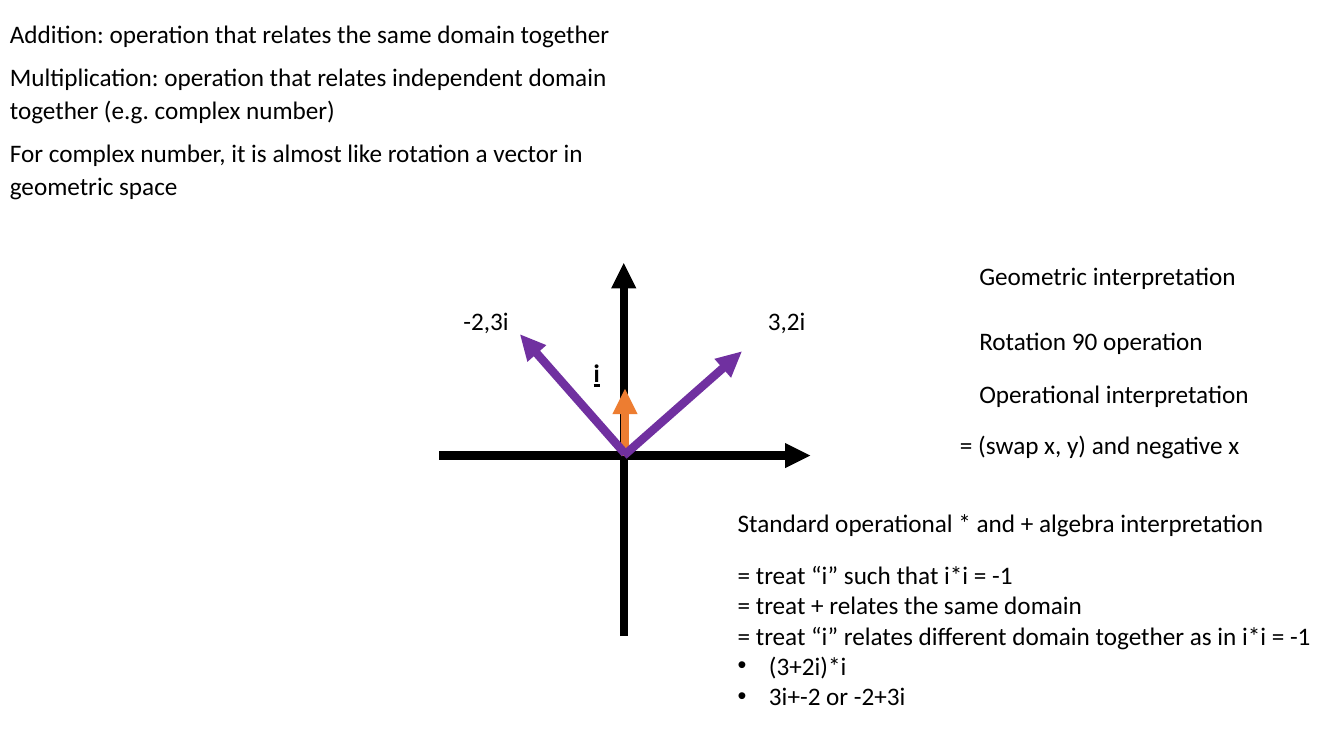
from lxml.etree import SubElement
from pptx import Presentation
from pptx.dml.color import RGBColor as Rgb
from pptx.enum.shapes import MSO_CONNECTOR as Connector
from pptx.enum.text import MSO_AUTO_SIZE as AutoSize
from pptx.oxml.ns import qn
from pptx.util import Cm, Pt

COLORS = {"text": "000000", "axis": "000000", "unit": "ED7D31", "vector": "7030A0"}
BODY_FONT = {"name": "Calibri", "size": Pt(18)}
UNIT_FONT = {**BODY_FONT, "bold": True, "underline": True}
DEFINITION_SPACING = {"line_spacing": 1.07, "space_after": Pt(8)}
LINE_HEIGHT = 1.02
NOTES_LEFT = 24.43
ALGEBRA_LEFT = 18.34

DEFINITIONS = [
    "Addition: operation that relates the same domain together",
    "Multiplication: operation that relates independent domain together (e.g. complex number)",
    "For complex number, it is almost like rotation a vector in geometric space",
]
RULES = [
    "= treat “i” such that i*i = -1",
    "= treat + relates the same domain",
    "= treat “i” relates different domain together as in i*i = -1",
]
WORKED_STEPS = ["(3+2i)*i", "3i+-2 or -2+3i"]

ARROWS = [
    ("axis", (11.07, 11.48), (20.42, 11.48)),
    ("axis", (15.72, 16.03), (15.72, 6.63)),
    ("unit", (15.75, 11.48), (15.75, 9.8)),
    ("vector", (15.72, 11.48), (18.69, 8.86)),
    ("vector", (15.75, 11.43), (13.11, 8.43)),
]
LABELS = [
    ("3,2i", 19.1, 7.57, 1.47),
    ("-2,3i", 11.43, 7.57, 1.68),
    ("Geometric interpretation", NOTES_LEFT, 6.43, 7.06),
    ("Rotation 90 operation", NOTES_LEFT, 8.08, 6.22),
    ("Operational interpretation", NOTES_LEFT, 9.42, 7.39),
    (" = (swap x, y) and negative x", 23.8, 10.69, 7.8),
    ("Standard operational * and + algebra interpretation", ALGEBRA_LEFT, 12.65, 13.94),
]


def apply_format(target, values):
    """Set each named attribute of the target."""
    for name, value in values.items():
        setattr(target, name, value)


def add_text(slide, lines, left, top, width, height=LINE_HEIGHT,
             wrap=False, font=BODY_FONT, spacing=None):
    """Add a text box with one paragraph per line and return its paragraphs."""
    frame = slide.shapes.add_textbox(Cm(left), Cm(top), Cm(width), Cm(height)).text_frame
    apply_format(frame, {"word_wrap": wrap, "auto_size": AutoSize.SHAPE_TO_FIT_TEXT})
    frame.text = "\n".join(lines)
    for paragraph in frame.paragraphs:
        apply_format(paragraph, spacing or {})
        for run in paragraph.runs:
            apply_format(run.font, font)
            run.font.color.rgb = Rgb.from_string(COLORS["text"])
    return frame.paragraphs


def add_bullet(paragraph):
    """Give a paragraph a hanging round bullet."""
    properties = paragraph._p.get_or_add_pPr()
    indent = Cm(0.79)
    properties.set("marL", str(indent))
    properties.set("indent", str(-indent))
    SubElement(properties, qn("a:buFont"), typeface="Arial")
    SubElement(properties, qn("a:buChar"), char="•")


def add_arrow(slide, role, start, end):
    """Draw a thick arrow from start to end in the colour of its role."""
    ends = [Cm(length) for length in (*start, *end)]
    arrow = slide.shapes.add_connector(Connector.STRAIGHT, *ends)
    arrow.line.width = Pt(6)
    arrow.line.color.rgb = Rgb.from_string(COLORS[role])
    properties = arrow._element.spPr
    SubElement(properties.find(qn("a:ln")), qn("a:tailEnd"), type="triangle")
    SubElement(properties, qn("a:effectLst"))


def main():
    """Build the slide on multiplying complex numbers."""
    deck = Presentation()
    apply_format(deck, {"slide_width": Cm(33.87), "slide_height": Cm(19.05)})
    slide = deck.slides.add_slide(deck.slide_layouts[6])

    add_text(slide, DEFINITIONS, 0, 0.28, 16.94, 4.9, wrap=True, spacing=DEFINITION_SPACING)
    for role, start, end in ARROWS:
        add_arrow(slide, role, start, end)
    add_text(slide, ["i"], 14.71, 8.89, 0.66, font=UNIT_FONT)
    for label, left, top, width in LABELS:
        add_text(slide, [label], left, top, width)
    algebra = add_text(slide, RULES + WORKED_STEPS, ALGEBRA_LEFT, 13.97, 15.16, 4.11)
    for step in algebra[len(RULES):]:
        add_bullet(step)

    deck.save("out.pptx")


main()
